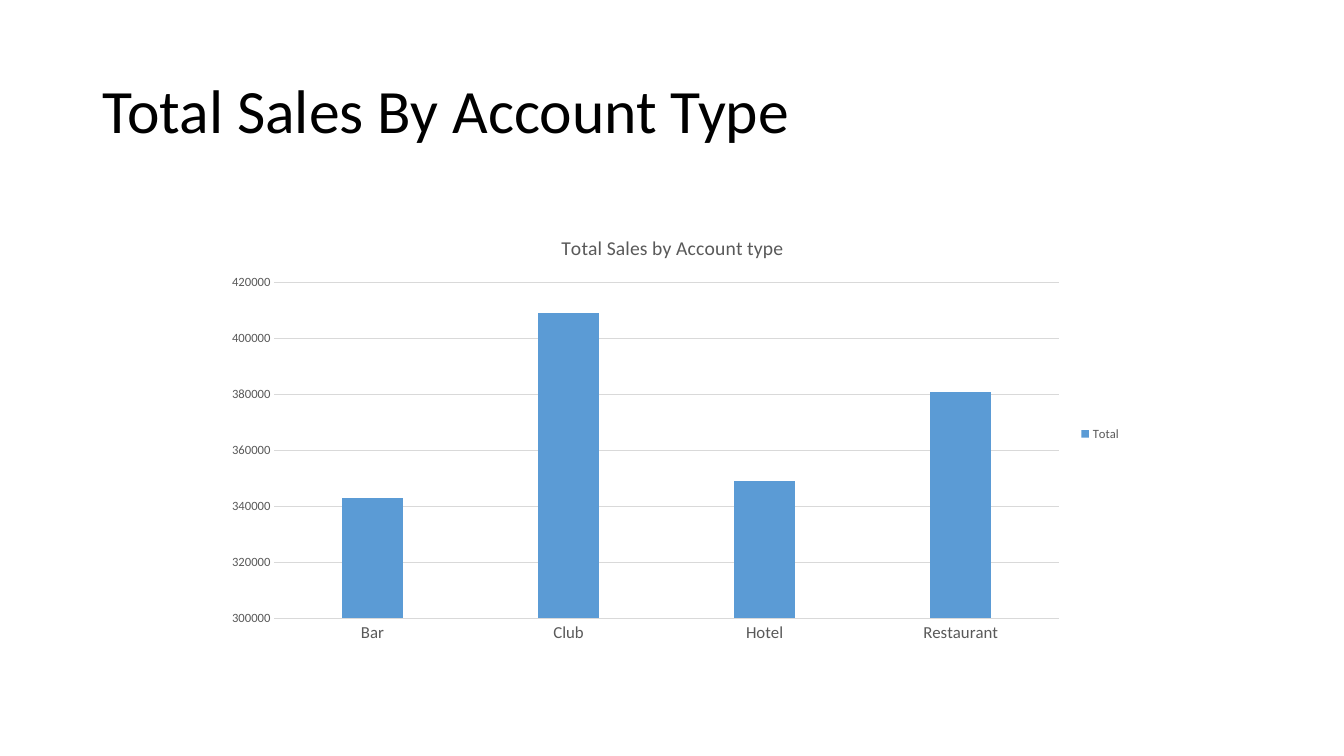
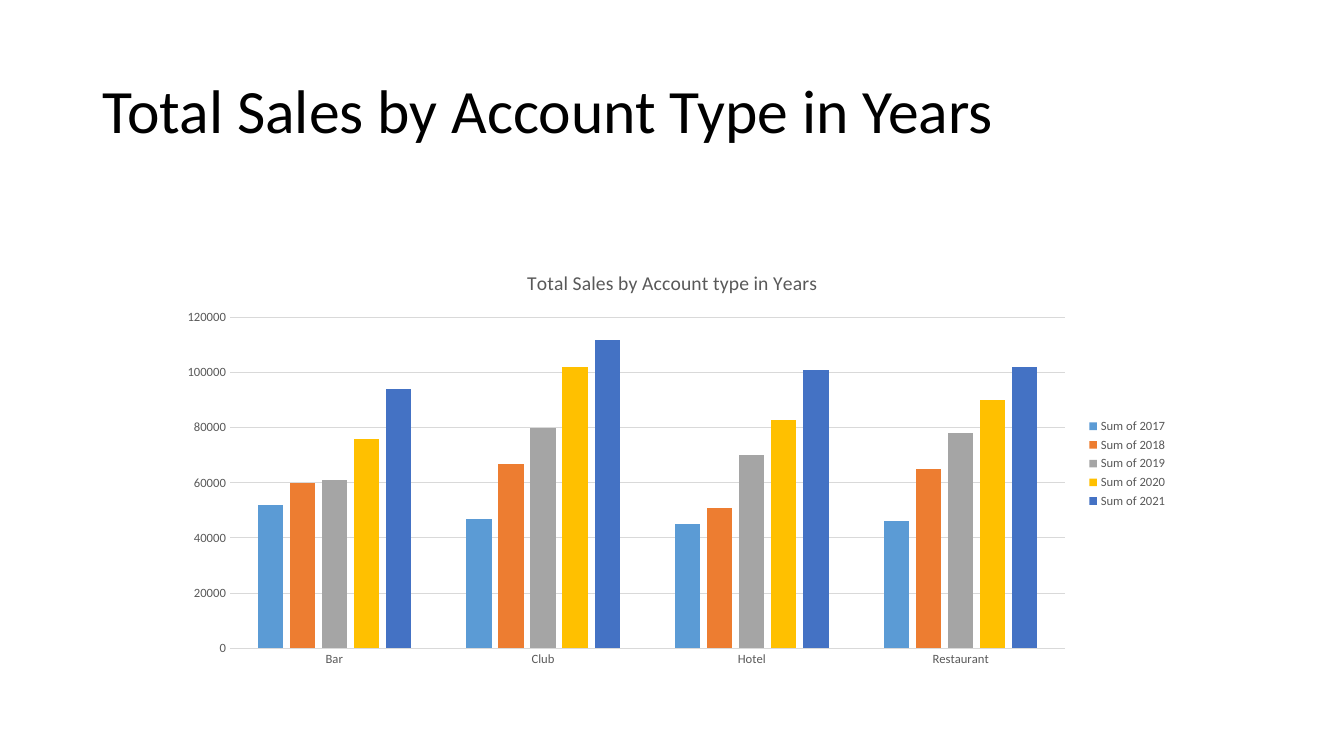
"""Build two slides of column charts showing sales by account type."""
from pptx import Presentation
from pptx.chart.data import CategoryChartData
from pptx.dml.color import RGBColor
from pptx.enum.chart import XL_CHART_TYPE, XL_LEGEND_POSITION, XL_TICK_MARK
from pptx.enum.text import MSO_ANCHOR
from pptx.util import Inches, Pt

COLUMNS = XL_CHART_TYPE.COLUMN_CLUSTERED
LEGEND_RIGHT = XL_LEGEND_POSITION.RIGHT
NO_TICK = XL_TICK_MARK.NONE
MIDDLE = MSO_ANCHOR.MIDDLE

FONT = "Calibri"
BLACK, GRAY, GRID = "000000", "595959", "D9D9D9"
SERIES_COLORS = ["5B9BD5", "ED7D31", "A5A5A5", "FFC000", "4472C4"]
ACCOUNT_TYPES = ["Bar", "Club", "Hotel", "Restaurant"]

SLIDES = [
    {
        "title": "Total Sales By Account Type",
        "chart_title": "Total Sales by Account type",
        "box": (2.12, 2.15, 9.1, 4.31),
        "category_size": 12,
        "scale": (300000, 420000),
        "series": {"Total": [343000, 409000, 349000, 381000]},
    },
    {
        "title": "Total Sales by Account Type in Years",
        "chart_title": "Total Sales by Account type in Years",
        "box": (1.66, 2.5, 10.02, 4.2),
        "category_size": 9,
        "scale": (0, 120000),
        "series": {
            "Sum of 2017": [52000, 47000, 45000, 46000],
            "Sum of 2018": [60000, 67000, 51000, 65000],
            "Sum of 2019": [61000, 80000, 70000, 78000],
            "Sum of 2020": [76000, 102000, 83000, 90000],
            "Sum of 2021": [94000, 112000, 101000, 102000],
        },
    },
]


def style_font(font, size, color):
    font.name = FONT
    font.size = Pt(size)
    font.bold = False
    font.color.rgb = RGBColor.from_string(color)


def write_text(frame, text, size=14, color=GRAY, line_spacing=None):
    paragraph = frame.paragraphs[0]
    paragraph.line_spacing = line_spacing
    run = paragraph.add_run()
    run.text = text
    style_font(run.font, size, color)


presentation = Presentation()
presentation.slide_width = Inches(13.33)
presentation.slide_height = Inches(7.5)
blank_layout = presentation.slide_layouts[6]

for content in SLIDES:
    slide = presentation.slides.add_slide(blank_layout)
    title = slide.shapes.add_textbox(
        Inches(0.92), Inches(0.4), Inches(11.5), Inches(1.45))
    title.text_frame.word_wrap = True
    title.text_frame.vertical_anchor = MIDDLE
    write_text(title.text_frame, content["title"], size=44, color=BLACK, line_spacing=0.9)

    chart_data = CategoryChartData()
    chart_data.categories = ACCOUNT_TYPES
    for name, values in content["series"].items():
        chart_data.add_series(name, values)
    box = [Inches(length) for length in content["box"]]
    chart = slide.shapes.add_chart(COLUMNS, *box, chart_data).chart
    style_font(chart.font, 10, BLACK)
    chart.has_title = True
    write_text(chart.chart_title.text_frame, content["chart_title"])
    chart.chart_title.include_in_layout = False

    chart.has_legend = True
    chart.legend.position = LEGEND_RIGHT
    chart.legend.include_in_layout = False
    style_font(chart.legend.font, 9, GRAY)

    category_axis, value_axis = chart.category_axis, chart.value_axis
    for axis, size in ((category_axis, content["category_size"]), (value_axis, 9)):
        axis.major_tick_mark = NO_TICK
        axis.minor_tick_mark = NO_TICK
        style_font(axis.tick_labels.font, size, GRAY)
    value_axis.minimum_scale, value_axis.maximum_scale = content["scale"]
    value_axis.major_unit = 20000
    value_axis.format.line.fill.background()
    for line in (category_axis.format.line, value_axis.major_gridlines.format.line):
        line.width = Pt(0.75)
        line.color.rgb = RGBColor.from_string(GRID)

    plot = chart.plots[0]
    plot.gap_width = 219
    plot.overlap = -27
    plot.vary_by_categories = False
    for series, color in zip(plot.series, SERIES_COLORS):
        series.format.fill.solid()
        series.format.fill.fore_color.rgb = RGBColor.from_string(color)

presentation.save("out.pptx")
